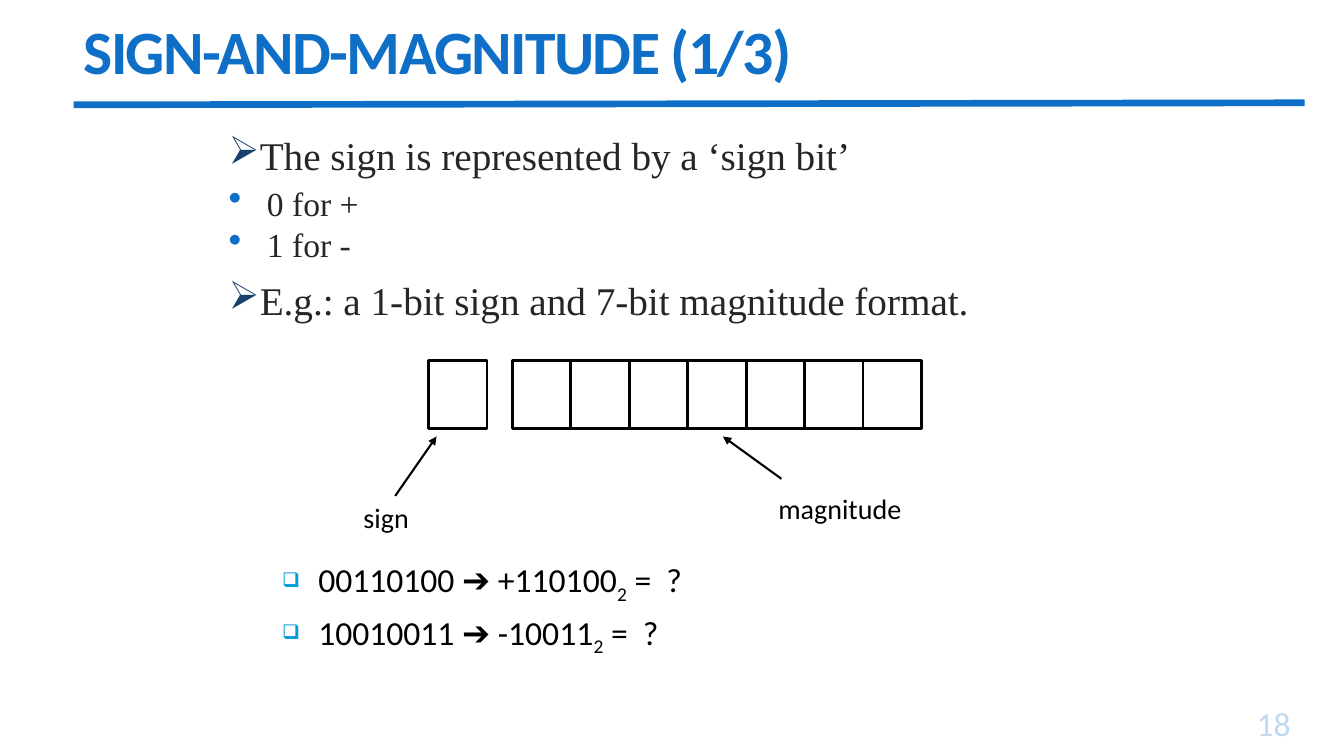
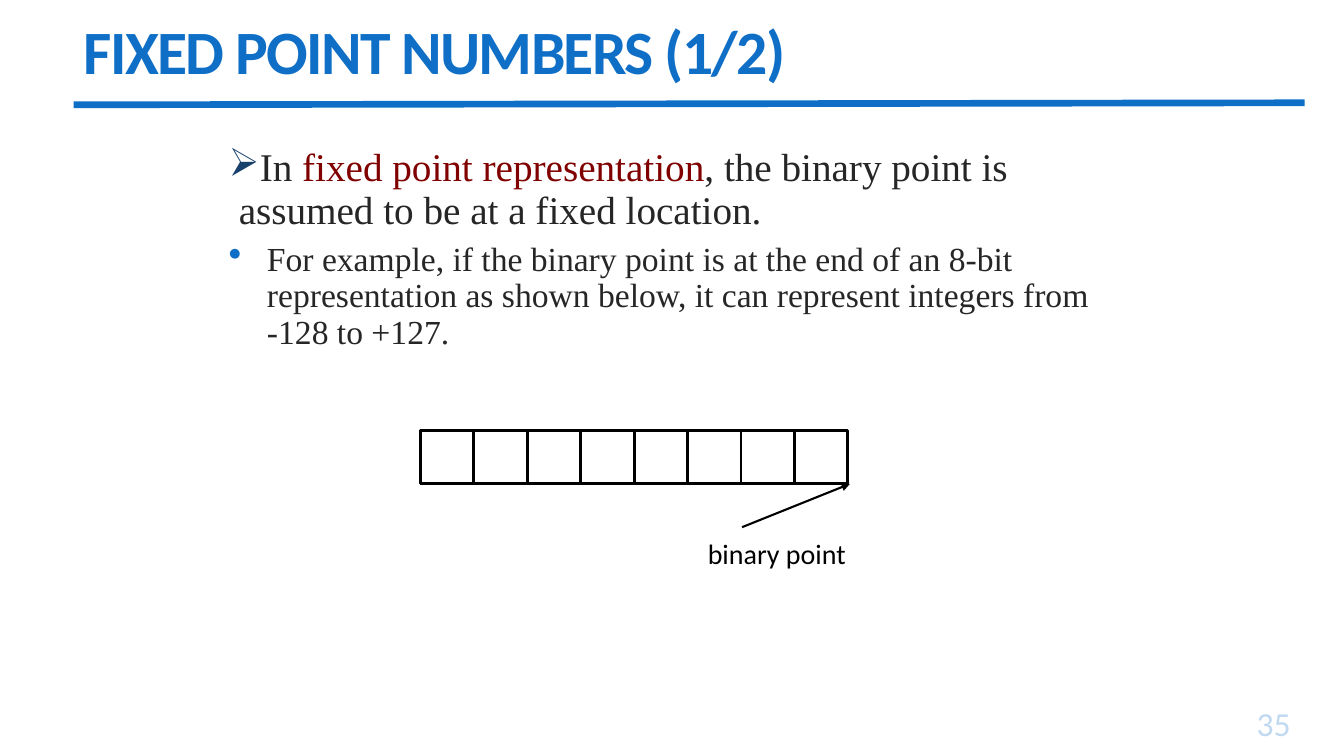
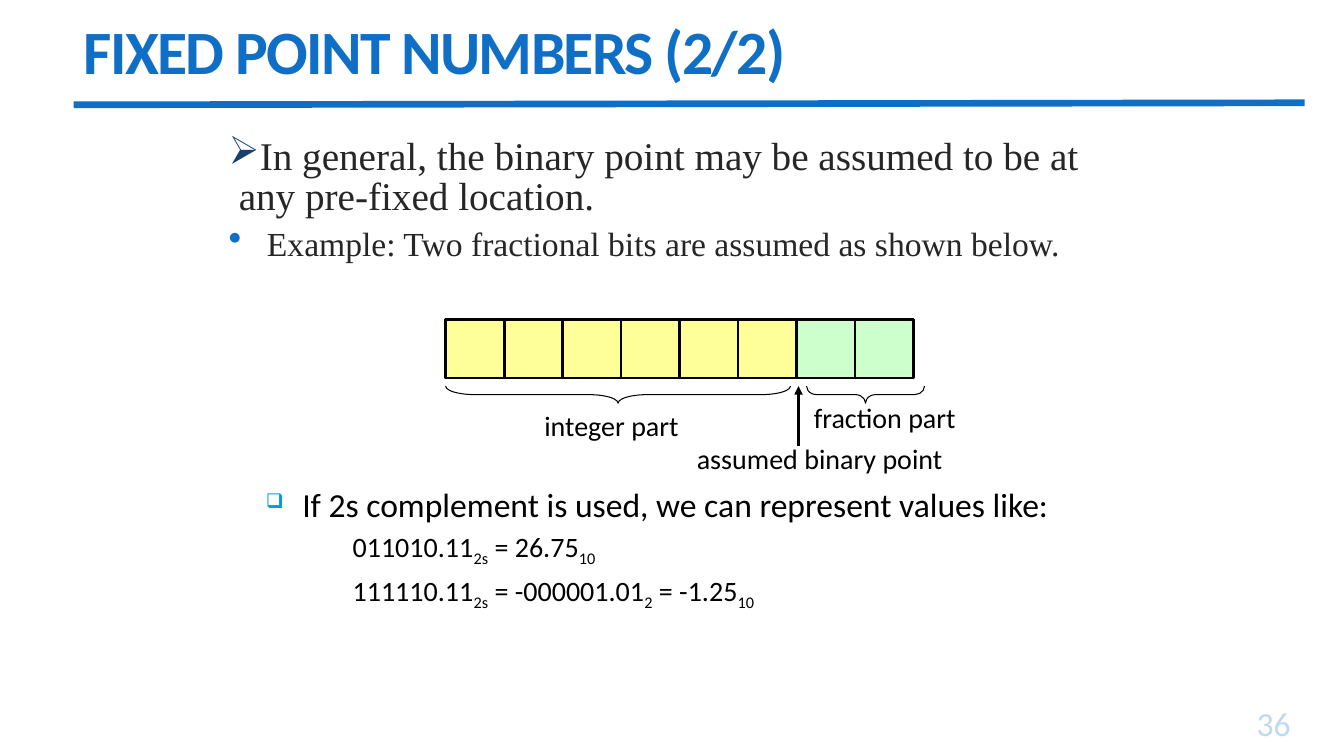
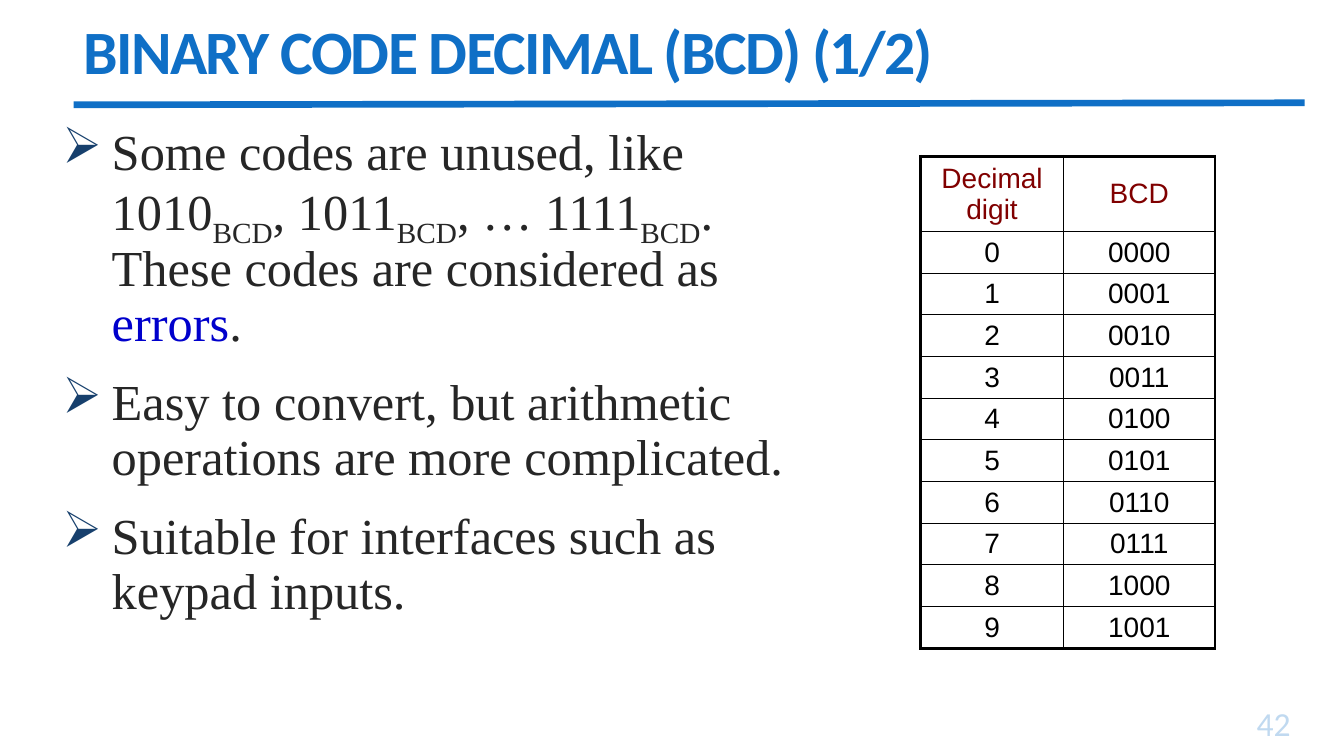
from lxml.etree import SubElement
from pptx import Presentation
from pptx.dml.color import RGBColor
from pptx.enum.shapes import MSO_CONNECTOR, MSO_SHAPE
from pptx.enum.text import MSO_ANCHOR, PP_ALIGN
from pptx.oxml.ns import qn
from pptx.util import Inches, Pt

BLUE = RGBColor(0x0F, 0x6F, 0xC6)
NAVY = RGBColor(0x17, 0x40, 0x6D)
CYAN = RGBColor(0x00, 0x9D, 0xD9)
INK = RGBColor(0x26, 0x26, 0x26)
BLACK = RGBColor(0x00, 0x00, 0x00)
MAROON = RGBColor(0x80, 0x00, 0x00)
ERROR_BLUE = RGBColor(0x00, 0x00, 0xCC)
YELLOW = RGBColor(0xFF, 0xFF, 0x99)
GREEN = RGBColor(0xCC, 0xFF, 0xCC)

SANS, SERIF, TABLE_FONT = "Calibri", "Times New Roman", "Arial"
SUB = "subscript"


def set_font(para, name, size, color):
    para.font.name = name
    para.font.size = Pt(size)
    para.font.color.rgb = color


def add_spans(para, spans):
    """Add runs; a span is plain text or a pair of text and SUB or a colour."""
    for item in spans:
        text, style = (item, None) if isinstance(item, str) else item
        span = para.add_run()
        span.text = text
        if style == SUB:
            span._r.get_or_add_rPr().set("baseline", "-25000")
        elif style is not None:
            span.font.color.rgb = style


def set_bullet(para, margin, indent, char=None, color=None, percent=100):
    props = para._p.get_or_add_pPr()
    props.set("marL", str(Inches(margin)))
    props.set("indent", str(Inches(indent)))
    if char:
        fill = SubElement(props, qn("a:buClr"))
        SubElement(fill, qn("a:srgbClr")).set("val", str(color))
        SubElement(props, qn("a:buSzPct")).set("val", str(percent * 1000))
        SubElement(props, qn("a:buChar")).set("char", char)


def add_text_box(page, left, top, width, height):
    box = page.shapes.add_textbox(Inches(left), Inches(top), Inches(width), Inches(height))
    box.text_frame.word_wrap = True
    return box.text_frame


def next_para(frame):
    """Return the empty first paragraph, or a new one."""
    first = frame.paragraphs[0]
    return frame.add_paragraph() if first.runs else first


def add_line(page, start, end, color, weight, arrow=False):
    line = page.shapes.add_connector(
        MSO_CONNECTOR.STRAIGHT, *(Inches(value) for value in (*start, *end)))
    line.line.color.rgb = color
    line.line.width = Pt(weight)
    if arrow:
        SubElement(line.line._get_or_add_ln(), qn("a:tailEnd")).set("type", "triangle")
    SubElement(line._element.spPr, qn("a:effectLst"))


def add_outline(page, kind, left, top, width, height, weight, fill=None):
    shape = page.shapes.add_shape(
        kind, Inches(left), Inches(top), Inches(width), Inches(height))
    shape.shadow.inherit = False
    shape.line.color.rgb = BLACK
    shape.line.width = Pt(weight)
    if fill is None:
        shape.fill.background()
    else:
        shape.fill.solid()
        shape.fill.fore_color.rgb = fill
    return shape


def add_bits(page, left, top, width, height, fills):
    for index, fill in enumerate(fills):
        add_outline(page, MSO_SHAPE.RECTANGLE, left + index * width, top,
                    width, height, 2, fill)


def add_brace(page, left, top, width, depth=0.17):
    """Add a brace that opens upwards, with its point below."""
    brace = add_outline(page, MSO_SHAPE.LEFT_BRACE, left + (width - depth) / 2,
                        top + (depth - width) / 2, depth, width, 0.75)
    brace.rotation = 270
    brace.adjustments[0] = width / 2


def add_label(page, left, top, width, text):
    para = add_text_box(page, left, top, width, 0.43).paragraphs[0]
    para.alignment = PP_ALIGN.CENTER
    set_font(para, SANS, 20, BLACK)
    add_spans(para, [text])


def add_points(page, top, height, points, spacing):
    """Add the body; a point is a level (0 or 1) and its spans."""
    frame = add_text_box(page, 2.17, top, 9, height)
    for level, spans in points:
        para = next_para(frame)
        first = para is frame.paragraphs[0] or len(frame.paragraphs) == 1
        para.line_spacing = spacing
        if level == 0:
            para.space_before, para.space_after = Pt(0 if first else 10), Pt(6)
            set_bullet(para, 0.1, -0.1, "➢", NAVY)
            set_font(para, SERIF, 28, INK)
        else:
            para.space_before, para.space_after = Pt(1), Pt(4)
            set_bullet(para, 0.38, -0.38, "•", BLUE, 112)
            set_font(para, SERIF, 24, INK)
        add_spans(para, spans)


def add_examples(page, left, top, height, examples):
    """Add boxed bullets; an example is whether it has a bullet, and its spans."""
    frame = add_text_box(page, left, top, 9, height)
    for bulleted, spans in examples:
        para = next_para(frame)
        size = 24 if bulleted else 20
        if len(frame.paragraphs) > 1:
            para.space_before = Pt(size * 0.2)
        if bulleted:
            set_bullet(para, 0.73, -0.36, "❑", CYAN, 60)
        else:
            set_bullet(para, 1.23, 0)
        set_font(para, SANS, size, BLACK)
        add_spans(para, spans)


def add_page(deck, title, number):
    """Add a slide with its title, rule and page number."""
    page = deck.slides.add_slide(deck.slide_layouts[5])
    add_line(page, (0.73, 1.04), (12.94, 1.02), BLUE, 4.75)

    heading = page.shapes.title
    heading.left, heading.top = Inches(0.73), Inches(0.08)
    heading.width, heading.height = Inches(11.78), Inches(0.94)
    heading.text_frame.vertical_anchor = MSO_ANCHOR.MIDDLE
    para = heading.text_frame.paragraphs[0]
    para.alignment = PP_ALIGN.LEFT
    para.line_spacing = 0.85
    set_font(para, SANS, 44, BLUE)
    para.font.bold = True
    add_spans(para, [title])
    para.runs[0]._r.get_or_add_rPr().set("spc", "-120")

    footer = add_text_box(page, 11.6, 7, 1.3, 0.42)
    footer.vertical_anchor = MSO_ANCHOR.BOTTOM
    para = footer.paragraphs[0]
    para.alignment = PP_ALIGN.RIGHT
    set_font(para, SANS, 24, BLUE)
    add_spans(para, [str(number)])
    font = para.runs[0].font
    font.color.rgb = BLUE
    color = font._element.find(".//" + qn("a:srgbClr"))
    SubElement(color, qn("a:alpha")).set("val", "25000")
    return page


def set_borders(cell, weights):
    """Draw the left, right, top and bottom borders, in that order."""
    props = cell._tc.get_or_add_tcPr()
    for index, (side, weight) in enumerate(zip("LRTB", weights)):
        border = SubElement(props, qn("a:ln" + side))
        border.set("w", str(Pt(weight)))
        fill = SubElement(border, qn("a:solidFill"))
        SubElement(fill, qn("a:srgbClr")).set("val", str(BLACK))
        props.insert(index, border)


def add_code_table(page, left, top):
    rows = [("Decimal digit", "BCD")]
    rows += [(str(digit), f"{digit:04b}") for digit in range(10)]
    heights = [0.72] + [0.41] * 10
    widths = [1.42, 1.5]
    table = page.shapes.add_table(
        len(rows), len(widths), Inches(left), Inches(top),
        Inches(sum(widths)), Inches(sum(heights))).table
    table.first_row = table.horz_banding = False
    for column, width in zip(table.columns, widths):
        column.width = Inches(width)
    for r, (texts, height) in enumerate(zip(rows, heights)):
        table.rows[r].height = Inches(height)
        for c, text in enumerate(texts):
            cell = table.cell(r, c)
            cell.fill.background()
            cell.margin_top = cell.margin_bottom = Inches(0.04)
            cell.vertical_anchor = MSO_ANCHOR.MIDDLE
            para = cell.text_frame.paragraphs[0]
            para.alignment = PP_ALIGN.CENTER
            set_font(para, TABLE_FONT, 20, MAROON if r == 0 else BLACK)
            add_spans(para, [text])
            outer = (c == 0, c == len(widths) - 1, r == 0, r == len(rows) - 1)
            set_borders(cell, [2.25 if edge else 1 for edge in outer])


def build_sign_and_magnitude(deck):
    page = add_page(deck, "SIGN-AND-MAGNITUDE (1/3)", 18)
    add_points(page, 1.33, 2.2, [
        (0, ["The sign is represented by a ‘sign bit’"]),
        (1, ["0 for +"]),
        (1, ["1 for -"]),
        (0, ["E.g.: a 1-bit sign and 7-bit magnitude format."]),
    ], 0.85)
    add_bits(page, 4.25, 3.58, 0.58, 0.67, [None])
    add_bits(page, 5.08, 3.58, 0.58, 0.67, [None] * 7)
    add_line(page, (3.92, 4.92), (4.33, 4.33), BLACK, 1.5, arrow=True)
    add_label(page, 3.33, 4.92, 1, "sign")
    add_line(page, (7.75, 4.75), (7.17, 4.33), BLACK, 1.5, arrow=True)
    add_label(page, 7.58, 4.83, 1.5, "magnitude")
    add_examples(page, 2.33, 5.5, 1, [
        (True, ["00110100 ➔ +110100", ("2", SUB), " =  ?"]),
        (True, ["10010011 ➔ -10011", ("2", SUB), " =  ?"]),
    ])


def build_fixed_point_integers(deck):
    page = add_page(deck, "FIXED POINT NUMBERS (1/2)", 35)
    add_points(page, 1.42, 2.25, [
        (0, ["In ", ("fixed point representation", MAROON),
             ", the binary point is assumed to be at a fixed location."]),
        (1, ["For example, if the binary point is at the end of an 8-bit "
             "representation as shown below, it can represent integers from "
             "-128 to +127."]),
    ], 0.9)
    add_bits(page, 4.17, 4.27, 0.53, 0.53, [None] * 8)
    add_line(page, (7.36, 5.23), (8.43, 4.8), BLACK, 1.5, arrow=True)
    add_label(page, 6.83, 5.27, 1.75, "binary point")


def build_fixed_point_fractions(deck):
    page = add_page(deck, "FIXED POINT NUMBERS (2/2)", 36)
    add_points(page, 1.33, 1.6, [
        (0, ["In general, the binary point may be assumed to be at any "
             "pre-fixed location."]),
        (1, ["Example: Two fractional bits are assumed as shown below."]),
    ], 0.85)
    add_bits(page, 4.42, 3.17, 0.58, 0.58, [YELLOW] * 6 + [GREEN] * 2)
    add_brace(page, 4.42, 3.83, 3.42)
    add_brace(page, 8, 3.83, 1.17)
    add_line(page, (7.92, 4.42), (7.92, 3.83), BLACK, 2, arrow=True)
    add_label(page, 5.25, 4, 1.63, "integer part")
    add_label(page, 7.92, 3.92, 1.71, "fraction part")
    add_label(page, 6.42, 4.33, 3.42, "assumed binary point")
    add_examples(page, 2.17, 4.75, 2, [
        (True, ["If 2s complement is used, we can represent values like:"]),
        (False, ["011010.11", ("2s", SUB), " = 26.75", ("10", SUB)]),
        (False, ["111110.11", ("2s", SUB), " = -000001.01", ("2", SUB),
                 " = -1.25", ("10", SUB)]),
    ])


def build_binary_coded_decimal(deck):
    page = add_page(deck, "BINARY CODE DECIMAL (BCD) (1/2)", 42)
    code = ("BCD", SUB)
    frame = add_text_box(page, 0.52, 1.21, 7.43, 5.37)
    for index, spans in enumerate([
        ["Some codes are unused, like 1010", code, ", 1011", code, ", … 1111", code,
         ". These codes are considered as ", ("errors", ERROR_BLUE), "."],
        ["Easy to convert, but arithmetic operations are more complicated."],
        ["Suitable for interfaces such as keypad inputs."],
    ]):
        para = next_para(frame)
        para.line_spacing = 0.9
        para.space_before = Pt(18 if index else 0)
        set_bullet(para, 0.49, -0.49, "➢", NAVY)
        set_font(para, SERIF, 36, INK)
        add_spans(para, spans)
    add_code_table(page, 9.13, 1.55)


def main():
    deck = Presentation()
    deck.slide_width, deck.slide_height = Inches(13.33), Inches(7.5)
    build_sign_and_magnitude(deck)
    build_fixed_point_integers(deck)
    build_fixed_point_fractions(deck)
    build_binary_coded_decimal(deck)
    deck.save("out.pptx")


if __name__ == "__main__":
    main()
